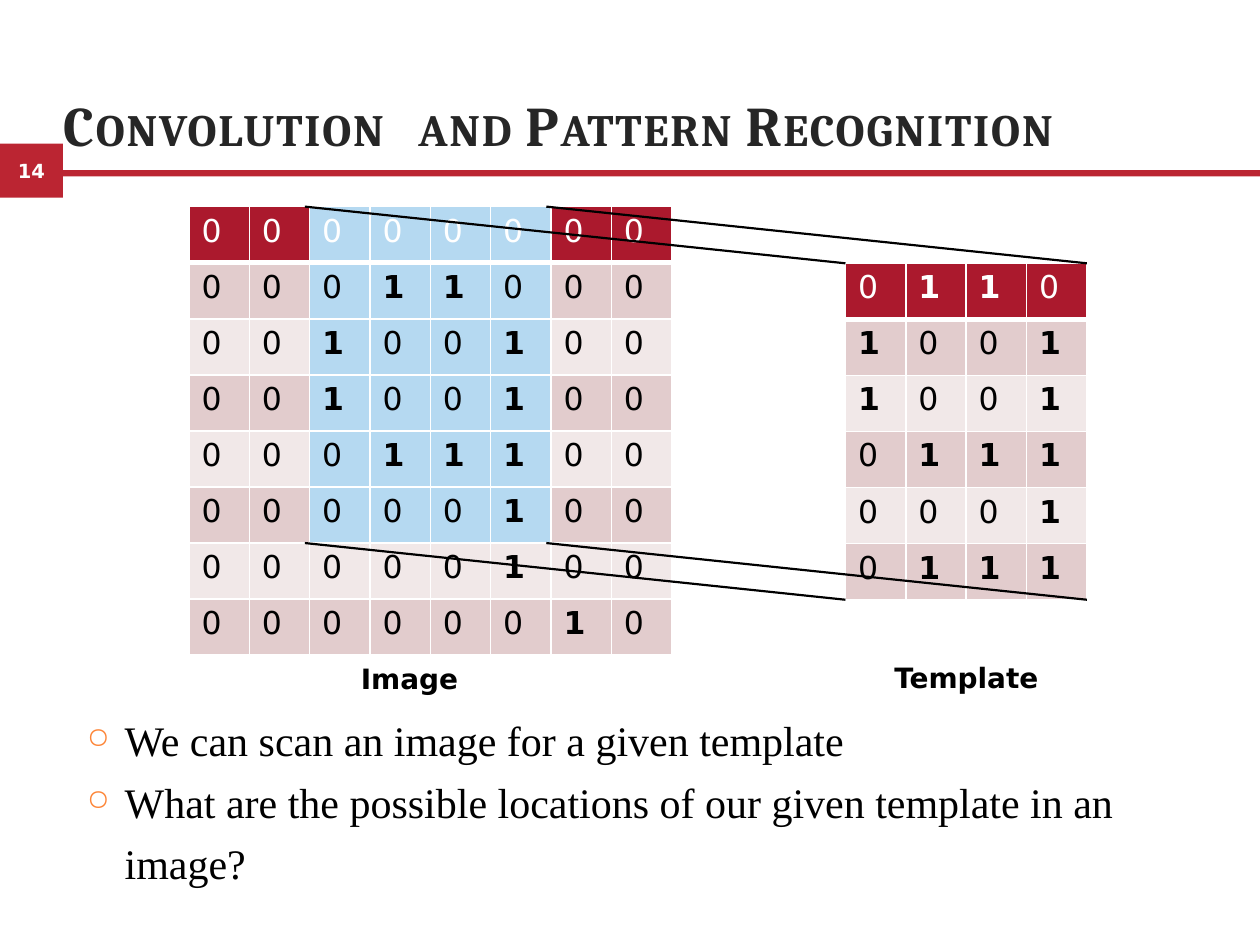
from lxml import etree
from pptx import Presentation
from pptx.dml.color import RGBColor
from pptx.enum.shapes import MSO_CONNECTOR, MSO_SHAPE
from pptx.enum.text import MSO_ANCHOR, MSO_AUTO_SIZE, PP_ALIGN
from pptx.oxml.ns import qn
from pptx.util import Inches, Pt

LEFT, CENTER = PP_ALIGN.LEFT, PP_ALIGN.CENTER
RECTANGLE, STRAIGHT = MSO_SHAPE.RECTANGLE, MSO_CONNECTOR.STRAIGHT

# Content
TITLE = "Convolution\tand Pattern Recognition"
PAGE = "14"
IMAGE = ["00000000", "00011000", "00100100", "00100100",
         "00011100", "00000100", "00000100", "00000010"]
TEMPLATE = ["0110", "1001", "1001", "0111", "0001", "0111"]
BULLETS = ["We can scan an image for a given template",
           "What are the possible locations of our given template in an image?"]

COLORS = {"rule": "BB2532", "header": "AB192D", "odd": "E2CCCD", "even": "F1E8E8",
          "window": "B5D9F1", "title": "262626", "bullet": "FD8537",
          "white": "FFFFFF", "black": "000000"}
SANS, SERIF, HEADING = "DejaVu Sans", "Times New Roman", "Cambria"

# Grid geometry in inches
COL, ROW = 0.479, 0.445
IMAGE_X, IMAGE_Y = 1.5, 1.64
TEMPLATE_X, TEMPLATE_Y = 6.71, 2.09
WINDOW_COL = 2
WINDOW_COLS, WINDOW_ROWS = len(TEMPLATE[0]), len(TEMPLATE)
WINDOW_X = 2.42
CAPTION_WIDTH = 1.6


def rgb(name):
    return RGBColor.from_string(COLORS[name])


def style(paragraph, face, size, color, bold=False):
    font = paragraph.font
    font.name, font.size, font.bold = face, Pt(size), bold
    font.color.rgb = rgb(color)


def add_xml(parent, tag, **attributes):
    return etree.SubElement(parent, qn(tag), attributes)


def add_bar(x, y, width, height):
    bar = slide.shapes.add_shape(RECTANGLE, Inches(x), Inches(y), Inches(width), Inches(height))
    bar.shadow.inherit = False
    bar.fill.solid()
    bar.fill.fore_color.rgb = rgb("rule")
    bar.line.fill.background()
    return bar


def set_borders(cell, top, bottom):
    properties = cell._tc.get_or_add_tcPr()
    for side, width in (("L", 1), ("R", 1), ("T", top), ("B", bottom)):
        line = add_xml(properties, f"a:ln{side}", w=str(Pt(width)))
        add_xml(add_xml(line, "a:solidFill"), "a:srgbClr", val=COLORS["white"])


def add_grid(rows, x, y, in_window):
    columns = len(rows[0])
    frame = slide.shapes.add_table(len(rows), columns, Inches(x), Inches(y),
                                   Inches(columns * COL), Inches(len(rows) * ROW))
    grid = frame.table
    for column in grid.columns:
        column.width = Inches(COL)
    for r, digits in enumerate(rows):
        grid.rows[r].height = Inches(ROW)
        band = "header" if r == 0 else "odd" if r % 2 else "even"
        for c, digit in enumerate(digits):
            cell = grid.cell(r, c)
            set_borders(cell, 3 if r == 1 else 1, 3 if r == 0 else 1)
            cell.fill.solid()
            cell.fill.fore_color.rgb = rgb("window" if in_window(r, c) else band)
            cell.text = digit
            style(cell.text_frame.paragraphs[0], SANS, 18,
                  "white" if r == 0 else "black", digit == "1")


def add_caption(text, center, y):
    box = slide.shapes.add_textbox(Inches(center - CAPTION_WIDTH / 2), Inches(y),
                                   Inches(CAPTION_WIDTH), Inches(0.38))
    box.text_frame.word_wrap = True
    paragraph = box.text_frame.paragraphs[0]
    paragraph.text, paragraph.alignment = text, CENTER
    style(paragraph, SANS, 16, "black", True)


def clear_insets(frame):
    frame.margin_left = frame.margin_top = frame.margin_right = frame.margin_bottom = 0
    frame.word_wrap = True


prs = Presentation()
prs.slide_width, prs.slide_height = Inches(10), Inches(7.5)
slide = prs.slides.add_slide(prs.slide_layouts[5])

# Page number and rule
badge = add_bar(0, 1.14, 0.5, 0.43)
clear_insets(badge.text_frame)
badge.text_frame.vertical_anchor = MSO_ANCHOR.MIDDLE
number = badge.text_frame.paragraphs[0]
number.text, number.alignment = PAGE, CENTER
style(number, SANS, 11.1, "white", True)
add_bar(0.5, 1.35, 9.5, 0.05)

# Title in small capitals
title = slide.shapes.title
title.left, title.top, title.width, title.height = map(Inches, (0.5, -0.35, 9, 1.6))
clear_insets(title.text_frame)
title.text_frame.auto_size = MSO_AUTO_SIZE.NONE
title.text_frame.vertical_anchor = MSO_ANCHOR.BOTTOM
heading = title.text_frame.paragraphs[0]
heading.text, heading.alignment = TITLE, LEFT
add_xml(add_xml(heading._p.get_or_add_pPr(), "a:tabLst"), "a:tab",
        pos=str(Inches(2.82)), algn="l")
style(heading, HEADING, 32, "title", True)
for run in heading.runs:
    properties = run._r.get_or_add_rPr()
    properties.set("cap", "small")
    properties.set("spc", "110")

# Bullets
body = slide.shapes.add_textbox(*map(Inches, (0.68, 5.58, 9.17, 1.94))).text_frame
clear_insets(body)
body.margin_top = Inches(0.01)
for i, text in enumerate(BULLETS):
    item = body.add_paragraph() if i else body.paragraphs[0]
    item.text = text
    properties = item._p.get_or_add_pPr()
    properties.set("marL", str(Inches(0.31)))
    properties.set("indent", str(Inches(-0.3)))
    add_xml(add_xml(properties, "a:buClr"), "a:srgbClr", val=COLORS["bullet"])
    add_xml(properties, "a:buSzPct", val="69000")
    add_xml(properties, "a:buChar", char="○")
    item.line_spacing = 1.2
    if i:
        item.space_before = Pt(1)
    style(item, SERIF, 24, "black")

# Image and template grids
add_grid(IMAGE, IMAGE_X, IMAGE_Y,
         lambda r, c: r < WINDOW_ROWS and 0 <= c - WINDOW_COL < WINDOW_COLS)
add_caption("Image", 3.25, 5.2)
add_caption("Template", 7.67, 5.19)
add_grid(TEMPLATE, TEMPLATE_X, TEMPLATE_Y, lambda r, c: False)

# Lines joining the template's corners to the window's corners
for row in (0, WINDOW_ROWS):
    for column in (0, WINDOW_COLS):
        dx, dy = column * COL, row * ROW
        link = slide.shapes.add_connector(
            STRAIGHT, Inches(TEMPLATE_X + dx), Inches(TEMPLATE_Y + dy),
            Inches(WINDOW_X + dx), Inches(IMAGE_Y + dy))
        link.line.color.rgb = rgb("black")
        link.line.width = Pt(1.25)
        add_xml(link._element.spPr, "a:effectLst")

prs.save("out.pptx")
